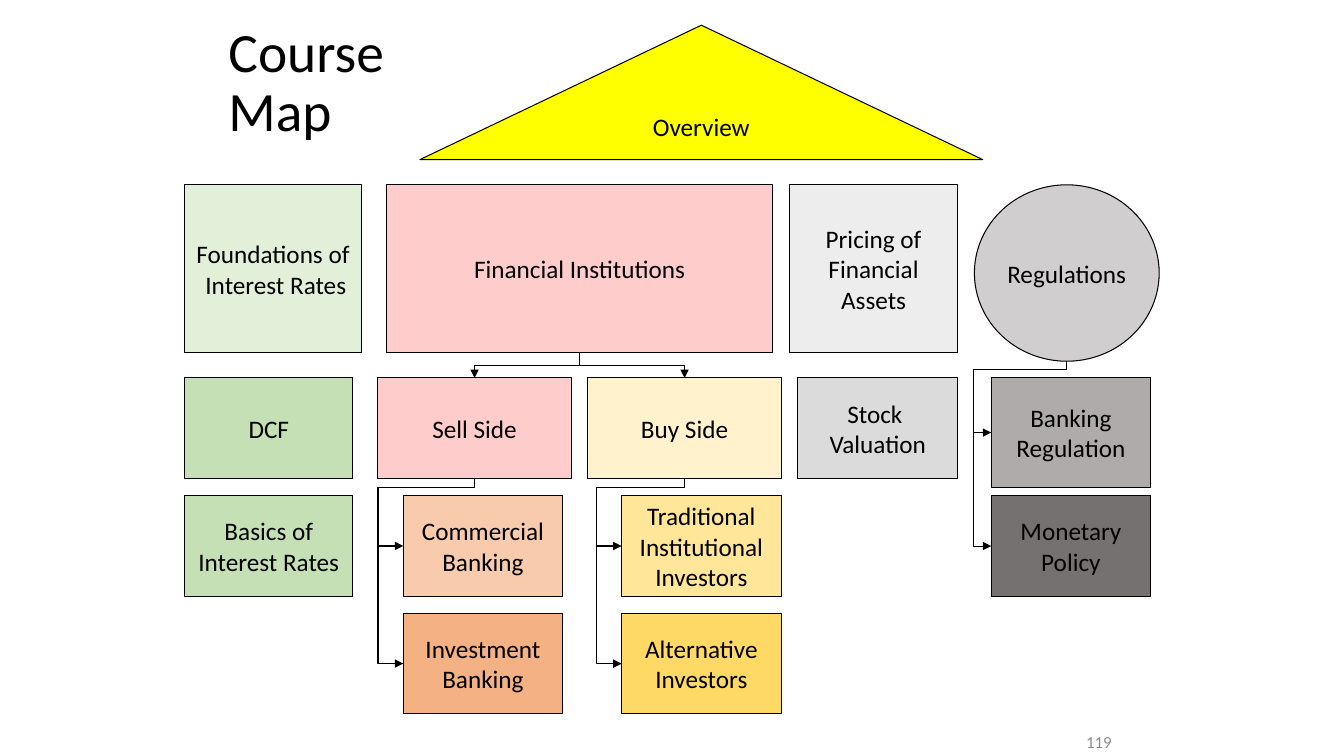
from dataclasses import dataclass

from lxml import etree
from pptx import Presentation
from pptx.dml.color import RGBColor
from pptx.enum.shapes import MSO_CONNECTOR, MSO_SHAPE
from pptx.enum.text import MSO_ANCHOR, MSO_AUTO_SIZE, PP_ALIGN
from pptx.oxml.ns import qn
from pptx.util import Emu, Pt

RECT, OVAL = MSO_SHAPE.RECTANGLE, MSO_SHAPE.OVAL
ROOF = MSO_SHAPE.FLOWCHART_EXTRACT
ELBOW = MSO_CONNECTOR.ELBOW
LEFT, CENTER = PP_ALIGN.LEFT, PP_ALIGN.CENTER
MIDDLE = MSO_ANCHOR.MIDDLE
NO_FIT = MSO_AUTO_SIZE.NONE
EMU_PER_PX = 9525  # 96 px to the inch


@dataclass(frozen=True)
class Theme:
    font: str = "Calibri"
    title_size: float = 39.6
    body_size: float = 18
    number_size: float = 12
    line_width: float = 0.75
    ink: str = "000000"
    number: str = "8C8C8C"
    overview: str = "FFFF00"
    foundations: str = "E2F0D9"
    rates: str = "C5E0B4"
    institutions: str = "FFCCCC"
    commercial: str = "F8CBAD"
    investment: str = "F4B183"
    buy_side: str = "FFF2CC"
    traditional: str = "FFE699"
    alternative: str = "FFD966"
    pricing: str = "EDEDED"
    stock: str = "DBDBDB"
    regulations: str = "D0CECE"
    banking: str = "AFABAB"
    monetary: str = "767171"


def px(length):
    return Emu(round(length * EMU_PER_PX))


def write(frame, text, *, font, size, color, align=CENTER, wrap=True, spacing=None):
    frame.word_wrap = wrap
    frame.auto_size = NO_FIT
    frame.vertical_anchor = MIDDLE
    frame.text = text
    for paragraph in frame.paragraphs:
        paragraph.alignment = align
        paragraph.line_spacing = spacing
        paragraph.font.name = font
        paragraph.font.size = Pt(size)
        paragraph.font.color.rgb = RGBColor.from_string(color)


class CourseMap:
    def __init__(self, slide, theme):
        self.slide = slide
        self.theme = theme

    def title(self, text, x, y, w, h):
        heading = self.slide.shapes.title
        heading.left, heading.top, heading.width, heading.height = map(px, (x, y, w, h))
        write(heading.text_frame, text, font=self.theme.font, size=self.theme.title_size,
              color=self.theme.ink, align=LEFT, spacing=0.9)

    def page_number(self, text, x, y, w, h):
        label = self.slide.shapes.add_textbox(*map(px, (x, y, w, h)))
        write(label.text_frame, text, font=self.theme.font, size=self.theme.number_size,
              color=self.theme.number, align=LEFT)

    def topic(self, text, x, y, w, h, fill, kind=RECT, wrap=False):
        block = self.slide.shapes.add_shape(kind, *map(px, (x, y, w, h)))
        block.shadow.inherit = False
        block.fill.solid()
        block.fill.fore_color.rgb = RGBColor.from_string(fill)
        block.line.color.rgb = RGBColor.from_string(self.theme.ink)
        block.line.width = Pt(self.theme.line_width)
        write(block.text_frame, text, font=self.theme.font, size=self.theme.body_size,
              color=self.theme.ink, wrap=wrap)

    def branch(self, start, end, preset, *bends):
        """Elbow arrow that leaves downwards: a sideways elbow, turned a quarter."""
        (x1, y1), (x2, y2) = start, end
        mid_x, mid_y = (x1 + x2) / 2, (y1 + y2) / 2
        half_run, half_drop = abs(x2 - x1) / 2, (y2 - y1) / 2
        to_left = x2 < x1
        side = half_drop if to_left else -half_drop
        arrow = self.slide.shapes.add_connector(
            ELBOW, px(mid_x - side), px(mid_y - half_run),
            px(mid_x + side), px(mid_y + half_run))
        arrow.line.color.rgb = RGBColor.from_string(self.theme.ink)
        arrow.line.width = Pt(self.theme.line_width)

        # Quarter turn, bend positions, arrowhead and no shadow
        props = arrow._element.spPr
        props.find(qn("a:xfrm")).set("rot", str((90 if to_left else 270) * 60000))
        geometry = props.find(qn("a:prstGeom"))
        geometry.set("prst", preset)
        guides = geometry.find(qn("a:avLst"))
        if guides is None:
            guides = etree.SubElement(geometry, qn("a:avLst"))
        for index, bend in enumerate(bends, 1):
            name = f"adj{index}"
            etree.SubElement(guides, qn("a:gd"), name=name, fmla=f"val {round(bend * 100000)}")
        etree.SubElement(props.find(qn("a:ln")), qn("a:tailEnd"), type="triangle")
        etree.SubElement(props, qn("a:effectLst"))

    def fork(self, start, ends):
        for end in ends:
            self.branch(start, end, "bentConnector3", 0.5)

    def side_list(self, start, lane_x, ends, drop=8):
        x, y = start
        for end_x, end_y in ends:
            self.branch(start, (end_x, end_y), "bentConnector4",
                        drop / (end_y - y), (x - lane_x) / (x - end_x))


def main():
    deck = Presentation()
    deck.slide_width, deck.slide_height = px(1280), px(720)
    title_only = deck.slide_layouts[5]
    theme = Theme()
    course = CourseMap(deck.slides.add_slide(title_only), theme)

    # Rows of the map
    pillar_y, branch_y, first_y, second_y = 176, 360, 472, 584
    pillar_h, row_h, leaf_w = 160, 96, 152
    first_mid, second_mid = first_y + row_h // 2, second_y + row_h // 2

    # Heading and roof
    course.title("Course Map", 208, 12, 248, 136)
    course.topic("Overview", 400, 24, 536, 128, theme.overview, kind=ROOF)

    # Interest rates
    course.topic("Foundations of\n Interest Rates", 176, pillar_y, 168, pillar_h, theme.foundations)
    course.topic("DCF", 176, branch_y, 160, row_h, theme.rates)
    course.topic("Basics of\nInterest Rates", 176, first_y, 160, row_h, theme.rates)

    # Financial institutions
    sell_x, buy_x, side_w = 360, 560, 187
    sell_mid, buy_mid = 452, 652
    course.topic("Financial Institutions", 368, pillar_y, 368, pillar_h, theme.institutions)
    course.topic("Sell Side", sell_x, branch_y, side_w - 3, row_h, theme.institutions)
    course.topic("Buy Side", buy_x, branch_y, side_w - 3, row_h, theme.buy_side)
    course.fork((552, pillar_y + pillar_h), [(buy_mid, branch_y), (sell_mid, branch_y)])
    leaves = [
        ("Commercial Banking", 384, first_y, theme.commercial),
        ("Investment Banking", 384, second_y, theme.investment),
        ("Traditional Institutional Investors", 592, first_y, theme.traditional),
        ("Alternative Investors", 592, second_y, theme.alternative),
    ]
    for text, x, y, fill in leaves:
        course.topic(text, x, y, leaf_w, row_h, fill, wrap=True)
    for side_mid, lane_x, leaf_x in [(sell_mid, 360, 384), (buy_mid, 568, 592)]:
        course.side_list((side_mid, branch_y + row_h), lane_x,
                         [(leaf_x, first_mid), (leaf_x, second_mid)])

    # Pricing
    course.topic("Pricing of Financial Assets", 752, pillar_y, 160, pillar_h, theme.pricing, wrap=True)
    course.topic("Stock \nValuation", 760, branch_y, leaf_w, row_h, theme.stock)

    # Regulations
    course.topic("Regulations", 928, pillar_y, 176, 168, theme.regulations, kind=OVAL)
    course.topic("Banking Regulation", 944, branch_y, leaf_w, 104, theme.banking, wrap=True)
    course.topic("Monetary Policy", 944, first_y, leaf_w, row_h, theme.monetary, wrap=True)
    course.side_list((1016, pillar_y + 168), 927, [(944, branch_y + 52), (944, first_mid)])

    course.page_number("119", 1025, 691, 97, 31)
    deck.save("out.pptx")


if __name__ == "__main__":
    main()
